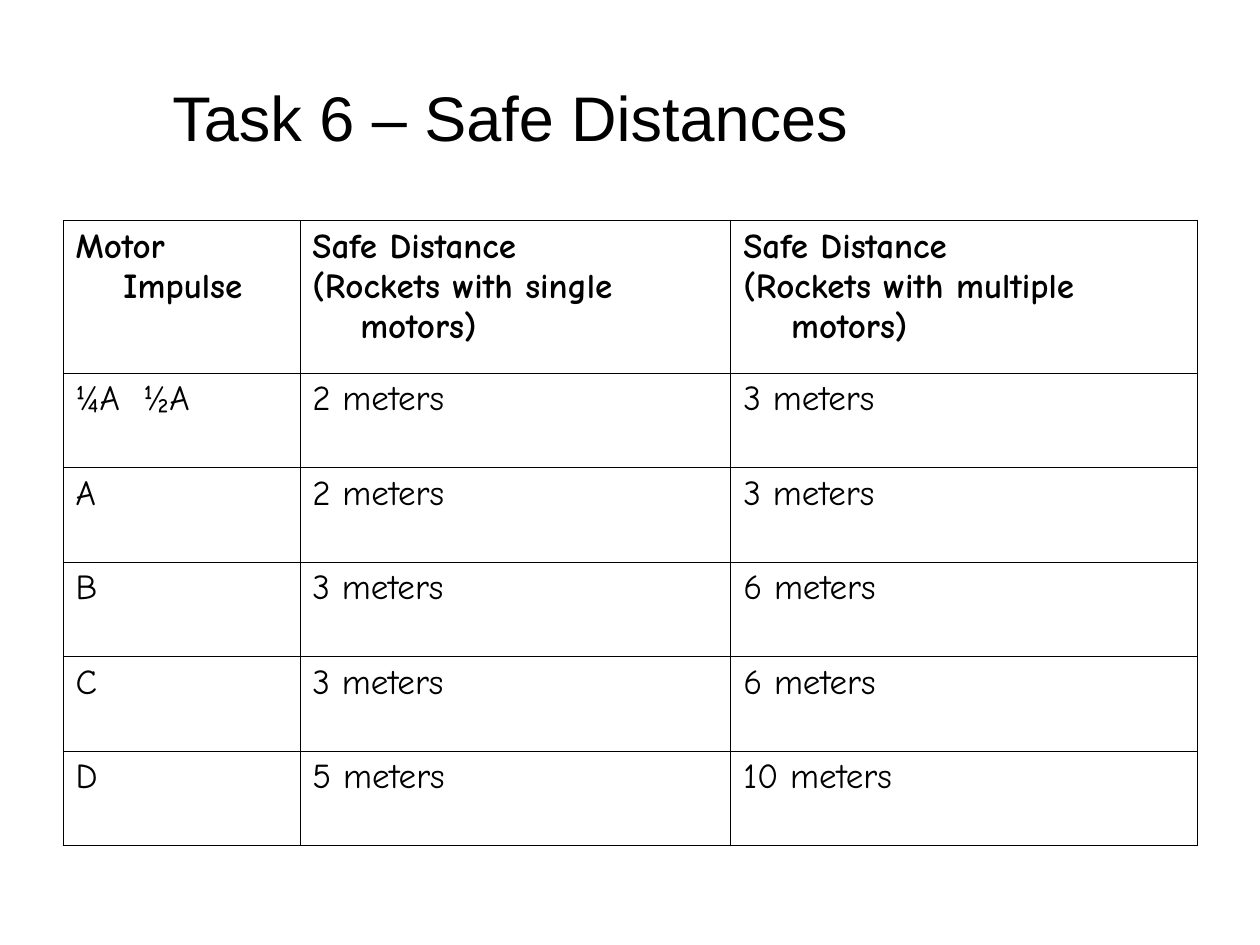
from lxml import etree
from pptx import Presentation
from pptx.dml.color import RGBColor
from pptx.enum.text import MSO_ANCHOR, PP_ALIGN
from pptx.oxml.ns import qn
from pptx.util import Inches, Pt

LEFT, CENTER, JUSTIFY = PP_ALIGN.LEFT, PP_ALIGN.CENTER, PP_ALIGN.JUSTIFY
MIDDLE = MSO_ANCHOR.MIDDLE
BLACK = "000000"

TITLE = "Task 6 – Safe Distances"
ROWS = [
    ("Motor Impulse",
     "Safe Distance\n(Rockets with single motors)",
     "Safe Distance\n(Rockets with multiple motors)"),
    ("¼A  ½A", "2 meters", "3 meters"),
    ("A", "2 meters", "3 meters"),
    ("B", "3 meters", "6 meters"),
    ("C", "3 meters", "6 meters"),
    ("D", "5 meters", "10 meters"),
]
COLUMN_WIDTHS = [1.88, 3.42, 3.7]
HEADER_HEIGHT, ROW_HEIGHT = 1.21, 0.75
HANGING_INDENT = 0.38
BORDER_WIDTH = 0.45


def format_paragraph(paragraph, font_name, size, bold, alignment):
    paragraph.alignment = alignment
    font = paragraph.font
    font.name, font.size, font.bold = font_name, Pt(size), bold
    font.color.rgb = RGBColor.from_string(BLACK)


def hang_indent(paragraph):
    properties = paragraph._p.get_or_add_pPr()
    properties.set("marL", str(Inches(HANGING_INDENT)))
    properties.set("indent", str(-Inches(HANGING_INDENT)))


def add_borders(cell):
    properties = cell._tc.get_or_add_tcPr()
    for side in ("a:lnL", "a:lnR", "a:lnT", "a:lnB"):
        line = etree.SubElement(properties, qn(side), w=str(Pt(BORDER_WIDTH)))
        fill = etree.SubElement(line, qn("a:solidFill"))
        etree.SubElement(fill, qn("a:srgbClr"), val=BLACK)


presentation = Presentation()
presentation.slide_width, presentation.slide_height = Inches(10), Inches(7.5)
slide = presentation.slides.add_slide(presentation.slide_layouts[5])

title = slide.shapes.title
title.left, title.top = Inches(0.5), Inches(0.3)
title.width, title.height = Inches(7.1), Inches(1.25)
title.text_frame.text = TITLE
title.text_frame.vertical_anchor = MIDDLE
format_paragraph(title.text_frame.paragraphs[0], "Arial", 36, False, CENTER)

row_heights = [HEADER_HEIGHT] + [ROW_HEIGHT] * (len(ROWS) - 1)
table = slide.shapes.add_table(
    len(ROWS), len(COLUMN_WIDTHS), Inches(0.5), Inches(1.75),
    Inches(sum(COLUMN_WIDTHS)), Inches(sum(row_heights))).table
table.first_row = table.horz_banding = False
for column, width in zip(table.columns, COLUMN_WIDTHS):
    column.width = Inches(width)

for row_index, (texts, height) in enumerate(zip(ROWS, row_heights)):
    table.rows[row_index].height = Inches(height)
    is_header = row_index == 0
    for column_index, text in enumerate(texts):
        cell = table.cell(row_index, column_index)
        cell.text_frame.text = text
        for paragraph in cell.text_frame.paragraphs:
            format_paragraph(paragraph, "Comic Neue", 20, is_header,
                             LEFT if is_header else JUSTIFY)
            hang_indent(paragraph)
        add_borders(cell)
        cell.fill.background()

presentation.save("out.pptx")
